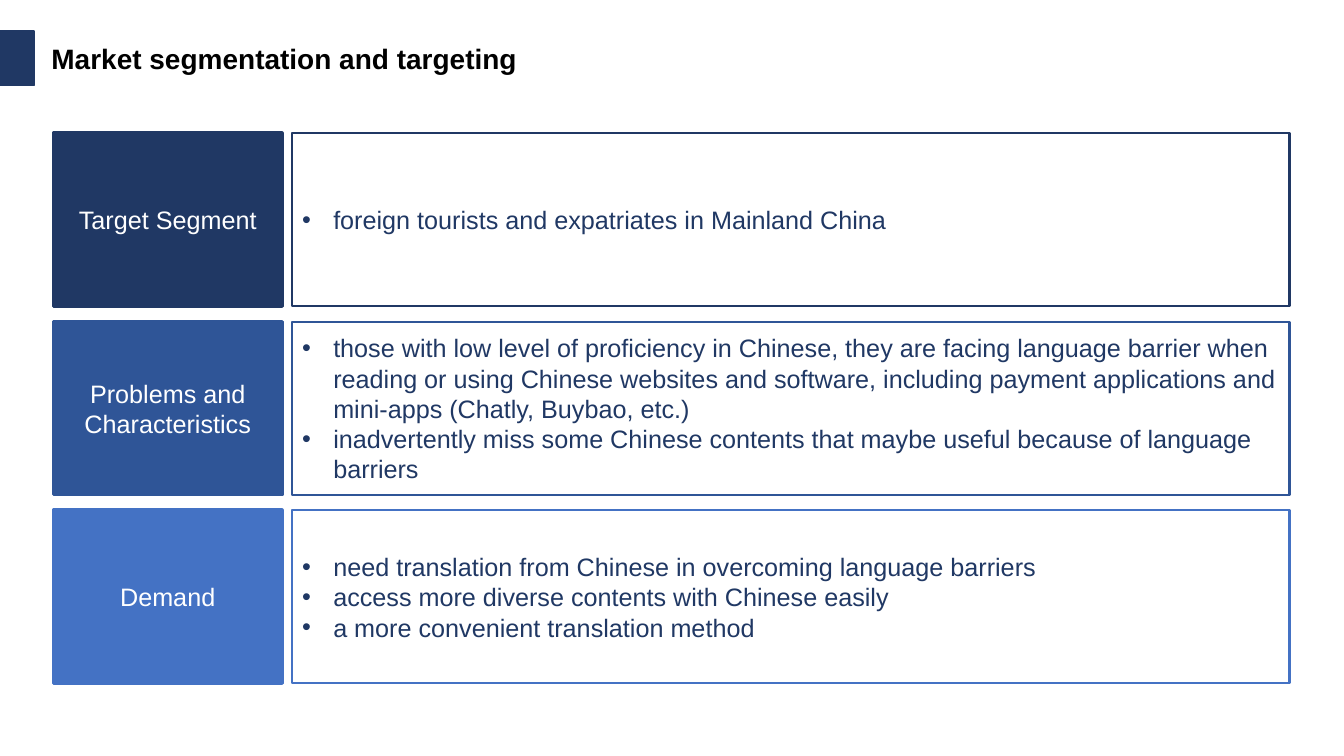
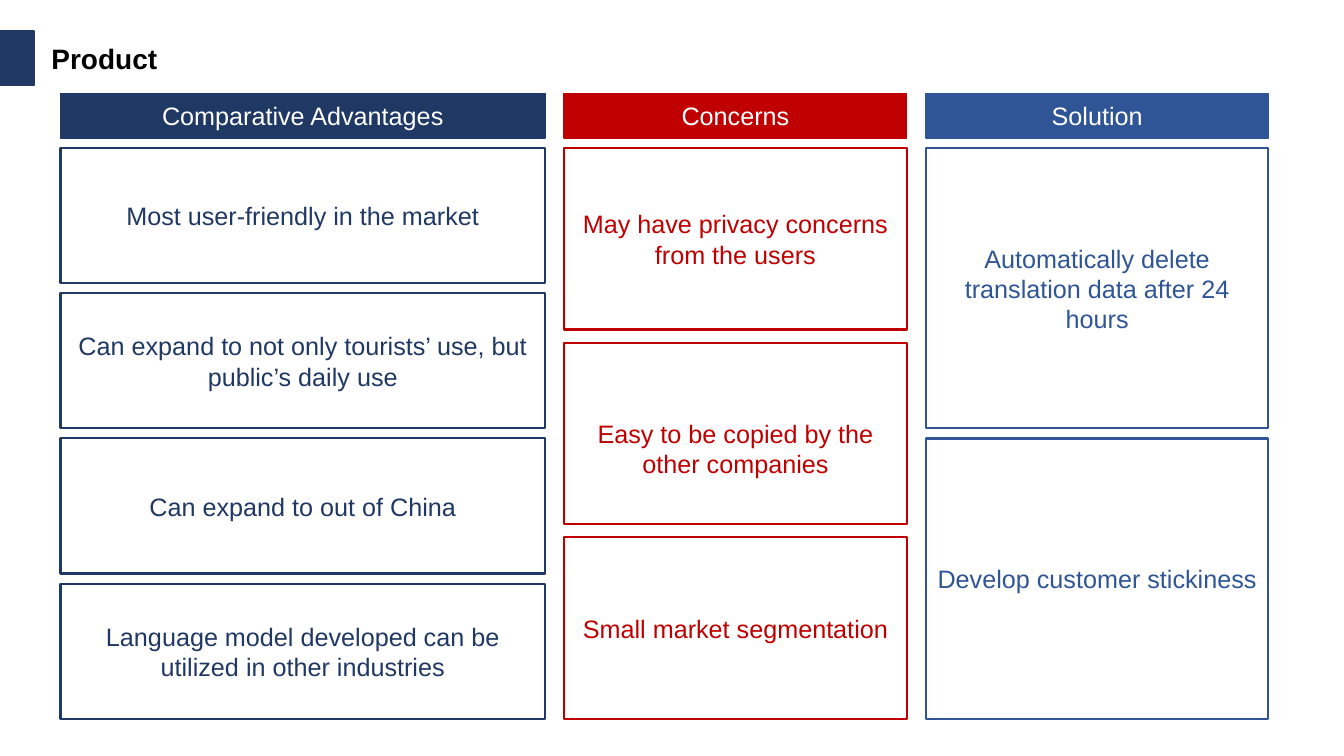
import pptx
import pptx.util
import pptx.dml.color
import pptx.enum.shapes
import pptx.enum.text
import pptx.oxml.ns
import lxml.etree

Inches = pptx.util.Inches
Pt = pptx.util.Pt
RGBColor = pptx.dml.color.RGBColor
ALIGN = pptx.enum.text.PP_ALIGN
ANCHOR = pptx.enum.text.MSO_ANCHOR

NAVY = RGBColor(0x20, 0x38, 0x64)
BLUE = RGBColor(0x2F, 0x55, 0x97)
SKY = RGBColor(0x44, 0x72, 0xC4)
RED = RGBColor(0xC0, 0x00, 0x00)
WHITE = RGBColor(0xFF, 0xFF, 0xFF)
BLACK = RGBColor(0x00, 0x00, 0x00)
FONT = "Arial"
INDENT = Inches(0.31)


def add_bullet(para):
    props = para._p.get_or_add_pPr()
    props.set("marL", str(int(INDENT)))
    props.set("indent", str(-int(INDENT)))
    qn = pptx.oxml.ns.qn
    lxml.etree.SubElement(props, qn("a:buFont"), typeface=FONT)
    lxml.etree.SubElement(props, qn("a:buChar"), char="•")


def write(shape, lines, color, size=18, bold=False, align=ALIGN.CENTER,
          bullet=False, drop=0):
    """Fill a shape with one paragraph per line; drop adds to the top inset."""
    frame = shape.text_frame
    frame.word_wrap = True
    frame.vertical_anchor = ANCHOR.MIDDLE
    frame.margin_left = frame.margin_right = Inches(0.1)
    frame.margin_top = Inches(0.05 + drop)
    frame.margin_bottom = Inches(0.05)
    for index, line in enumerate(lines):
        para = frame.paragraphs[0] if index == 0 else frame.add_paragraph()
        para.alignment = align
        if bullet:
            add_bullet(para)
        run = para.add_run()
        run.text = line
        run.font.name = FONT
        run.font.size = Pt(size)
        run.font.bold = bold
        run.font.color.rgb = color


class Deck:
    def __init__(self):
        self.file = pptx.Presentation()
        self.file.slide_width = Inches(13.34)
        self.file.slide_height = Inches(7.5)
        self.slide = None

    def start(self, title, width):
        """Add a slide with its title and the marker at the left edge."""
        self.slide = self.file.slides.add_slide(self.file.slide_layouts[5])
        self.box(0, 0.31, 0.34, 0.54, NAVY, 1, fill=True)
        head = self.slide.shapes.title
        head.left, head.top = Inches(0.41), Inches(0.36)
        head.width, head.height = Inches(width), Inches(0.44)
        write(head, [title], BLACK, size=20, bold=True, align=ALIGN.LEFT)
        head.text_frame.auto_size = pptx.enum.text.MSO_AUTO_SIZE.SHAPE_TO_FIT_TEXT

    def box(self, left, top, width, height, color, weight, fill=False):
        shape = self.slide.shapes.add_shape(
            pptx.enum.shapes.MSO_SHAPE.RECTANGLE,
            Inches(left), Inches(top), Inches(width), Inches(height))
        shape.shadow.inherit = False
        if fill:
            shape.fill.solid()
            shape.fill.fore_color.rgb = color
        else:
            shape.fill.background()
        shape.line.color.rgb = color
        shape.line.width = Pt(weight)
        return shape

    def label(self, left, top, width, height, text, color, weight):
        shape = self.box(left, top, width, height, color, weight, fill=True)
        write(shape, [text], WHITE)

    def row(self, top, height, name, points, color):
        self.label(0.53, top, 2.27, height, name, color, 2.25)
        panel = self.box(2.9, top, 9.9, height, color, 1.5)
        write(panel, points, NAVY, align=ALIGN.LEFT, bullet=True)

    def column(self, left, width, name, color, gap, cards):
        """Stack equal cards, given as (text, drop), under a heading."""
        self.label(left, 0.93, width, 0.44, name, color, 1)
        top, bottom = 1.47, 7.13
        step = (bottom - top + gap) / len(cards)
        for index, (text, drop) in enumerate(cards):
            card = self.box(left, top + index * step, width, step - gap, color, 1.5)
            write(card, [text], color, drop=drop)


def add_market(deck):
    deck.start("Market segmentation and targeting", 6)
    rows = [
        ("Target Segment", NAVY,
         ["foreign tourists and expatriates in Mainland China"]),
        ("Problems and Characteristics", BLUE,
         ["those with low level of proficiency in Chinese, they are facing "
          "language barrier when reading or using Chinese websites and software, "
          "including payment applications and mini-apps (Chatly, Buybao, etc.)",
          "inadvertently miss some Chinese contents that maybe useful because "
          "of language barriers"]),
        ("Demand", SKY,
         ["need translation from Chinese in overcoming language barriers",
          "access more diverse contents with Chinese easily",
          "a more convenient translation method"]),
    ]
    height, gap = 1.72, 0.15
    for index, (name, color, points) in enumerate(rows):
        deck.row(1.32 + index * (height + gap), height, name, points, color)


def add_product(deck):
    deck.start("Product", 2.74)
    columns = [
        ("Comparative Advantages", NAVY, 4.81, 0.1,
         [("Most user-friendly in the market", 0),
          ("Can expand to not only tourists’ use, but public’s daily use", 0),
          ("Can expand to out of China", 0),
          ("Language model developed can be utilized in other industries", 0)]),
        ("Concerns", RED, 3.4, 0.13,
         [("May have privacy concerns from the users", 0),
          ("Easy to be copied by the other companies", 0.3),
          ("Small market segmentation", 0)]),
        ("Solution", BLUE, 3.4, 0.1,
         [("Automatically delete translation data after 24 hours", 0),
          ("Develop customer stickiness", 0)]),
    ]
    left = 0.6
    for name, color, width, gap, cards in columns:
        deck.column(left, width, name, color, gap, cards)
        left += width + 0.19


def main():
    deck = Deck()
    add_market(deck)
    add_product(deck)
    deck.file.save("out.pptx")


if __name__ == "__main__":
    main()
